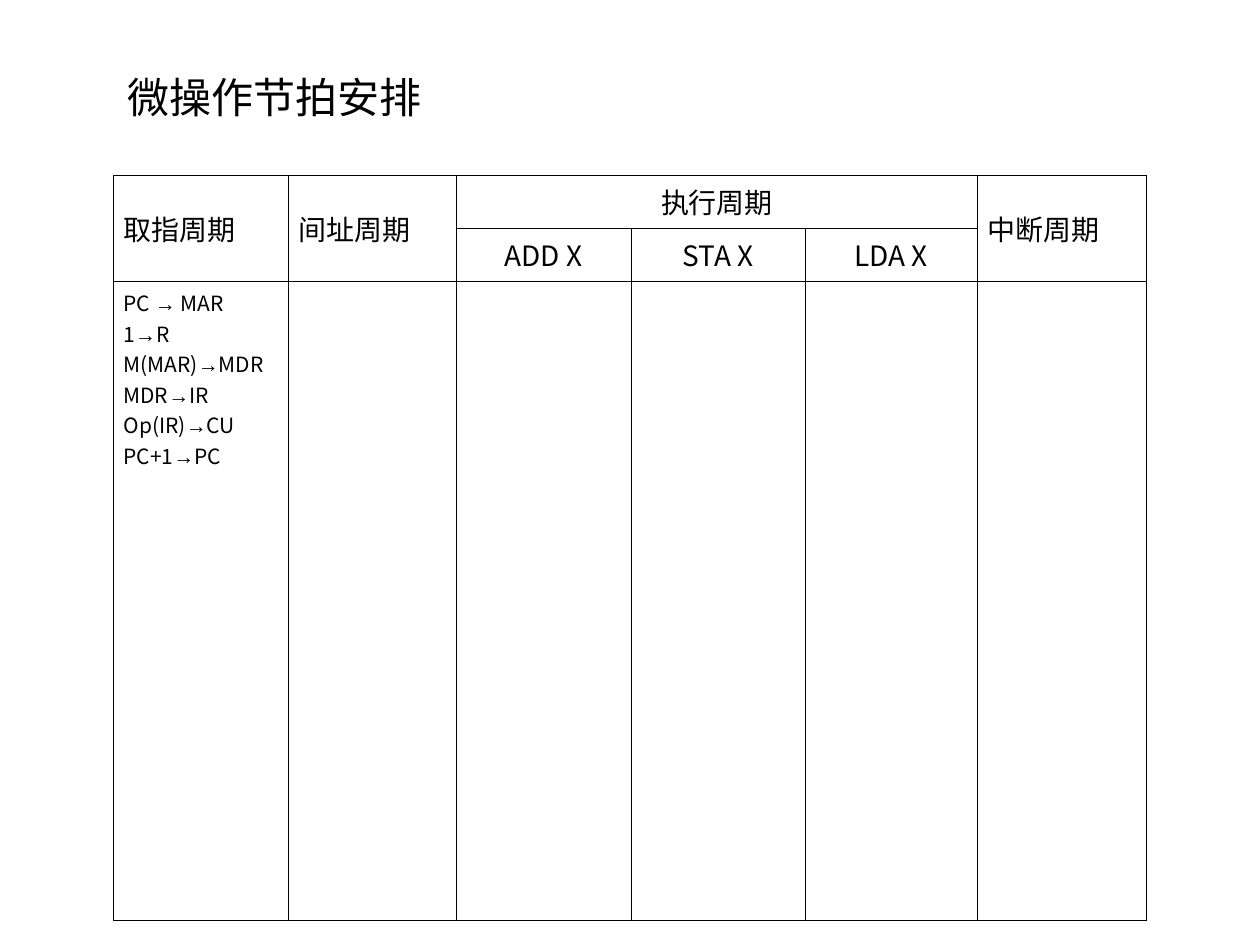
from dataclasses import dataclass

from lxml.etree import SubElement
from pptx import Presentation
from pptx.dml.color import RGBColor
from pptx.enum.text import MSO_ANCHOR, PP_ALIGN
from pptx.oxml import parse_xml
from pptx.oxml.ns import nsdecls, qn
from pptx.util import Inches, Pt


@dataclass(frozen=True)
class Theme:
    ink: str = "000000"
    paper: str = "FFFFFF"
    font: str = "Noto Sans CJK SC"
    arrow_font: str = "Arial"
    title_size: int = 24
    heading_size: int = 16
    step_size: int = 12
    border_width: float = 0.45


theme = Theme()


def format_run(run, size, font_name=theme.font):
    run.font.size = Pt(size)
    run.font.color.rgb = RGBColor.from_string(theme.ink)
    run.font.name = font_name
    SubElement(run.font._element, qn("a:ea"), typeface=font_name)


def style_cell(cell):
    cell.fill.solid()
    cell.fill.fore_color.rgb = RGBColor.from_string(theme.paper)
    cell.margin_left = cell.margin_right = Inches(0.08)
    cell.margin_top = cell.margin_bottom = Inches(0.05)
    properties = cell._tc.get_or_add_tcPr()
    for index, side in enumerate("LRTB"):
        border = parse_xml(
            f'<a:ln{side} {nsdecls("a")} w="{Pt(theme.border_width)}"><a:solidFill>'
            f'<a:srgbClr val="{theme.ink}"/></a:solidFill></a:ln{side}>'
        )
        properties.insert(index, border)


presentation = Presentation()
presentation.slide_width = Inches(10)
presentation.slide_height = Inches(7.5)
slide = presentation.slides.add_slide(presentation.slide_layouts[6])

# Table grid
column_widths = [1.39, 1.33, 1.39, 1.38, 1.37, 1.34]
row_heights = [0.42, 0.42, 5.07]
table_shape = slide.shapes.add_table(
    len(row_heights), len(column_widths), Inches(0.9), Inches(1.39),
    Inches(sum(column_widths)), Inches(sum(row_heights)),
)
table = table_shape.table
table.first_row = table.horz_banding = False
for column, width in zip(table.columns, column_widths):
    column.width = Inches(width)
for row, height in zip(table.rows, row_heights):
    row.height = Inches(height)
for cell in table.iter_cells():
    style_cell(cell)

# Cycle headings: row, column, last row, last column, text, alignment
headings = [
    (0, 0, 1, 0, "取指周期", PP_ALIGN.JUSTIFY),
    (0, 1, 1, 1, "间址周期", PP_ALIGN.JUSTIFY),
    (0, 2, 0, 4, "执行周期", PP_ALIGN.CENTER),
    (0, 5, 1, 5, "中断周期", PP_ALIGN.JUSTIFY),
    (1, 2, 1, 2, "ADD X", PP_ALIGN.CENTER),
    (1, 3, 1, 3, "STA X", PP_ALIGN.CENTER),
    (1, 4, 1, 4, "LDA X", PP_ALIGN.CENTER),
]
for row, column, last_row, last_column, text, alignment in headings:
    cell = table.cell(row, column)
    if (row, column) != (last_row, last_column):
        cell.merge(table.cell(last_row, last_column))
    cell.vertical_anchor = MSO_ANCHOR.MIDDLE
    cell.text_frame.text = text
    paragraph = cell.text_frame.paragraphs[0]
    paragraph.alignment = alignment
    format_run(paragraph.runs[0], theme.heading_size)

# Micro-operations of the fetch cycle
steps = [
    ("PC ", " MAR"),
    ("1", "R"),
    ("M(MAR)", "MDR"),
    ("MDR", "IR"),
    ("Op(IR)", "CU"),
    ("PC+1", "PC"),
]
text_frame = table.cell(2, 0).text_frame
for index, (origin, target) in enumerate(steps):
    paragraph = text_frame.add_paragraph() if index else text_frame.paragraphs[0]
    paragraph.alignment = PP_ALIGN.JUSTIFY
    for text, font_name in ((origin, theme.font), ("→", theme.arrow_font), (target, theme.font)):
        run = paragraph.add_run()
        run.text = text
        format_run(run, theme.step_size, font_name)

# Title
title = slide.shapes.add_textbox(Inches(0.91), Inches(0.52), Inches(5.58), Inches(0.5))
title.text_frame.word_wrap = True
title.text_frame.text = "微操作节拍安排"
format_run(title.text_frame.paragraphs[0].runs[0], theme.title_size)

presentation.save("out.pptx")
